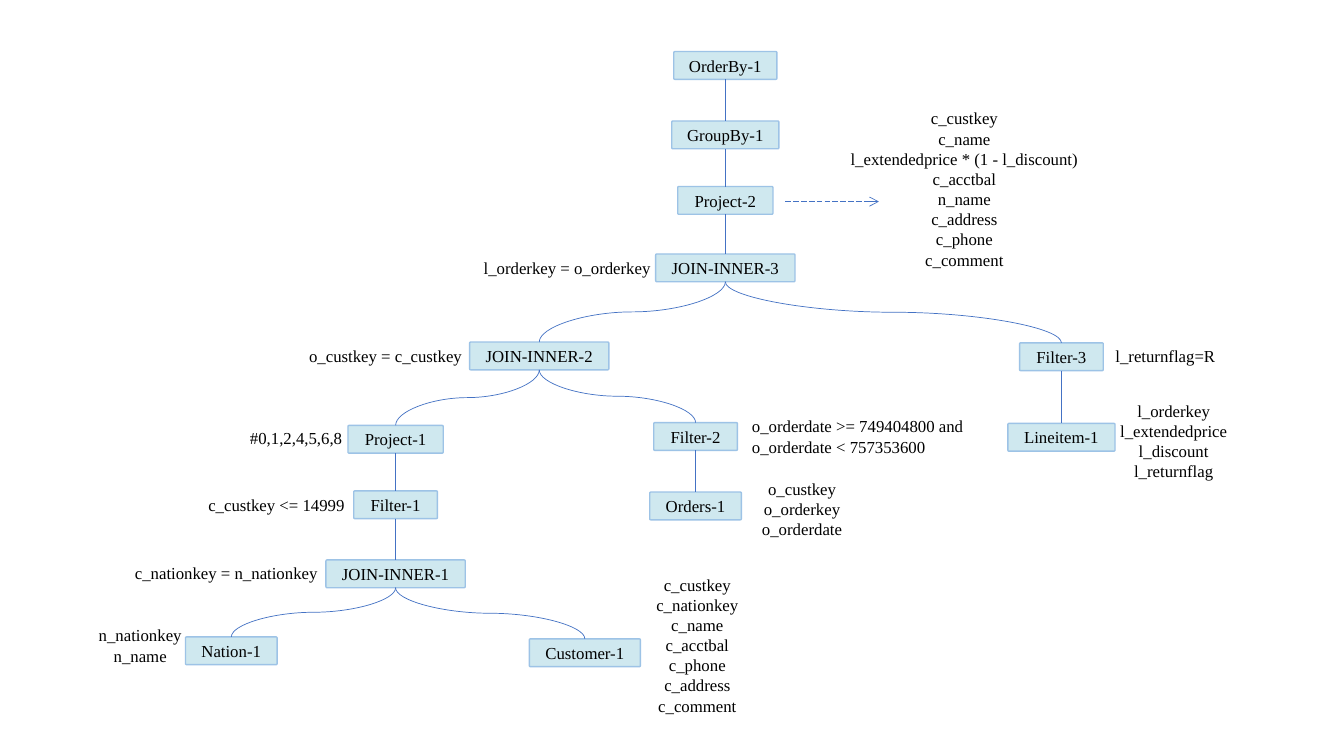
from dataclasses import dataclass

import lxml.etree
import pptx
import pptx.dml.color
import pptx.enum.dml
import pptx.enum.shapes
import pptx.enum.text
import pptx.oxml.ns
import pptx.shapes.autoshape
import pptx.shapes.connector
import pptx.shapes.shapetree
import pptx.text.text
import pptx.util
from pptx.util import Cm

BOX_FILL = pptx.dml.color.RGBColor(0xCF, 0xE8, 0xEF)
BOX_BORDER = pptx.dml.color.RGBColor(0x9D, 0xC3, 0xE6)
EDGE = pptx.dml.color.RGBColor(0x44, 0x72, 0xC4)
INK = pptx.dml.color.RGBColor(0, 0, 0)
FONT = "Times New Roman"
BOX_HEIGHT = 0.7

LEFT = pptx.enum.text.PP_ALIGN.LEFT
CENTER = pptx.enum.text.PP_ALIGN.CENTER
STRAIGHT = pptx.enum.shapes.MSO_CONNECTOR.STRAIGHT
CURVE = pptx.enum.shapes.MSO_CONNECTOR.CURVE
BOTTOM_SITE, TOP_SITE = 2, 0


@dataclass(frozen=True)
class Operator:
    """A plan step: centre, top and width in cm, and the step it feeds."""
    name: str
    center: float
    top: float
    width: float
    parent: str = ""


@dataclass(frozen=True)
class Note:
    left: float
    top: float
    width: float
    height: float
    lines: tuple[str, ...]
    align: pptx.enum.text.PP_ALIGN = CENTER


ROOT_X, JOIN_2_X, JOIN_1_X, ORDERS_X, LINEITEM_X = 18.28, 13.59, 9.97, 17.53, 26.75
JOIN_W, PROJECT_W, FILTER_W = 3.51, 2.4, 2.11

OPERATORS = (
    Operator("OrderBy-1", ROOT_X, 1.3, 2.6),
    Operator("GroupBy-1", ROOT_X, 3.05, 2.7, "OrderBy-1"),
    Operator("Project-2", ROOT_X, 4.7, PROJECT_W, "GroupBy-1"),
    Operator("JOIN-INNER-3", ROOT_X, 6.4, JOIN_W, "Project-2"),
    Operator("JOIN-INNER-2", JOIN_2_X, 8.62, JOIN_W, "JOIN-INNER-3"),
    Operator("Filter-3", LINEITEM_X, 8.64, FILTER_W, "JOIN-INNER-3"),
    Operator("Lineitem-1", LINEITEM_X, 10.67, 2.7, "Filter-3"),
    Operator("Project-1", JOIN_1_X, 10.72, PROJECT_W, "JOIN-INNER-2"),
    Operator("Filter-2", ORDERS_X, 10.65, FILTER_W, "JOIN-INNER-2"),
    Operator("Orders-1", ORDERS_X, 12.4, 2.31, "Filter-2"),
    Operator("Filter-1", JOIN_1_X, 12.37, FILTER_W, "Project-1"),
    Operator("JOIN-INNER-1", JOIN_1_X, 14.11, JOIN_W, "Filter-1"),
    Operator("Nation-1", 5.83, 16.05, 2.31, "JOIN-INNER-1"),
    Operator("Customer-1", 14.74, 16.1, 2.8, "JOIN-INNER-1"),
)

NOTES = (
    Note(20.9, 2.6, 6.81, 4.37, (
        "c_custkey", "c_name", "l_extendedprice * (1 - l_discount)", "c_acctbal",
        "n_name", "c_address", "c_phone", "c_comment")),
    Note(11.94, 6.36, 4.9, 0.77, ("l_orderkey = o_orderkey",), LEFT),
    Note(7.54, 8.6, 4.6, 0.77, ("o_custkey = c_custkey",), LEFT),
    Note(27.86, 8.6, 3.25, 0.77, ("l_returnflag=R",), LEFT),
    Note(27.89, 9.97, 3.38, 2.31, (
        "l_orderkey", "l_extendedprice", "l_discount", "l_returnflag")),
    Note(6.05, 10.66, 3.02, 0.77, ("#0,1,2,4,5,6,8",), LEFT),
    Note(18.7, 10.36, 6.17, 1.28, (
        "o_orderdate >= 749404800 and", "o_orderdate < 757353600"), LEFT),
    Note(18.82, 11.94, 2.79, 1.8, ("o_custkey", "o_orderkey", "o_orderdate")),
    Note(5, 12.35, 4.22, 0.77, ("c_custkey <= 14999",), LEFT),
    Note(3.15, 14.06, 5.16, 0.77, ("c_nationkey = n_nationkey",), LEFT),
    Note(2.14, 15.63, 2.79, 1.28, ("n_nationkey", "n_name")),
    Note(16.18, 14.35, 2.79, 3.84, (
        "c_custkey", "c_nationkey", "c_name", "c_acctbal", "c_phone",
        "c_address", "c_comment")),
)


def write_line(paragraph: pptx.text.text._Paragraph, text: str,
               align: pptx.enum.text.PP_ALIGN) -> None:
    paragraph.alignment = align
    run = paragraph.add_run()
    run.text = text
    run.font.name = FONT
    run.font.size = pptx.util.Pt(12)
    run.font.color.rgb = INK


def draw_operator(shapes: pptx.shapes.shapetree.SlideShapes,
                  operator: Operator) -> pptx.shapes.autoshape.Shape:
    box = shapes.add_shape(
        pptx.enum.shapes.MSO_SHAPE.ROUNDED_RECTANGLE,
        Cm(operator.center - operator.width / 2), Cm(operator.top),
        Cm(operator.width), Cm(BOX_HEIGHT))
    box.adjustments[0] = 0.04
    box.shadow.inherit = False
    box.fill.solid()
    box.fill.fore_color.rgb = BOX_FILL
    box.line.color.rgb = BOX_BORDER
    box.line.width = pptx.util.Pt(1)
    box.text_frame.vertical_anchor = pptx.enum.text.MSO_ANCHOR.MIDDLE
    write_line(box.text_frame.paragraphs[0], operator.name, CENTER)
    return box


def draw_note(shapes: pptx.shapes.shapetree.SlideShapes, note: Note) -> None:
    frame = shapes.add_textbox(
        Cm(note.left), Cm(note.top), Cm(note.width), Cm(note.height)).text_frame
    frame.word_wrap = True
    for index, line in enumerate(note.lines):
        paragraph = frame.add_paragraph() if index else frame.paragraphs[0]
        write_line(paragraph, line, note.align)


def style_edge(edge: pptx.shapes.connector.Connector) -> None:
    edge.line.color.rgb = EDGE
    edge.line.width = pptx.util.Pt(0.5)
    lxml.etree.SubElement(edge._element.spPr, pptx.oxml.ns.qn("a:effectLst"))


def turn_upright(edge: pptx.shapes.connector.Connector) -> None:
    """Rotate a curve so that it leaves downwards and arrives from above."""
    to_right = edge.end_x > edge.begin_x
    center_x = edge.left + edge.width // 2
    center_y = edge.top + edge.height // 2
    edge.width, edge.height = edge.height, edge.width
    edge.left = center_x - edge.width // 2
    edge.top = center_y - edge.height // 2
    xfrm = edge._element.spPr.find(pptx.oxml.ns.qn("a:xfrm"))
    xfrm.set("rot", "16200000" if to_right else "5400000")
    xfrm.set("flipH", "1" if to_right else "0")


def link(shapes: pptx.shapes.shapetree.SlideShapes,
         parent: pptx.shapes.autoshape.Shape,
         child: pptx.shapes.autoshape.Shape, curved: bool) -> None:
    edge = shapes.add_connector(CURVE if curved else STRAIGHT, 0, 0, 0, 0)
    edge.begin_connect(parent, BOTTOM_SITE)
    edge.end_connect(child, TOP_SITE)
    if curved:
        turn_upright(edge)
    style_edge(edge)


def draw_projection_arrow(shapes: pptx.shapes.shapetree.SlideShapes) -> None:
    arrow = shapes.add_connector(STRAIGHT, Cm(19.79), Cm(5.08), Cm(22.15), Cm(5.08))
    style_edge(arrow)
    arrow.line.dash_style = pptx.enum.dml.MSO_LINE.LONG_DASH
    line = arrow._element.spPr.find(pptx.oxml.ns.qn("a:ln"))
    lxml.etree.SubElement(line, pptx.oxml.ns.qn("a:tailEnd"), type="arrow")


def main() -> None:
    presentation = pptx.Presentation()
    presentation.slide_width = Cm(33.87)
    presentation.slide_height = Cm(19.05)
    shapes = presentation.slides.add_slide(presentation.slide_layouts[6]).shapes

    operators = {operator.name: operator for operator in OPERATORS}
    boxes = {name: draw_operator(shapes, operator)
             for name, operator in operators.items()}
    for operator in OPERATORS:
        if operator.parent:
            curved = operators[operator.parent].center != operator.center
            link(shapes, boxes[operator.parent], boxes[operator.name], curved)
    for note in NOTES:
        draw_note(shapes, note)
    draw_projection_arrow(shapes)

    presentation.save("out.pptx")


if __name__ == "__main__":
    main()
